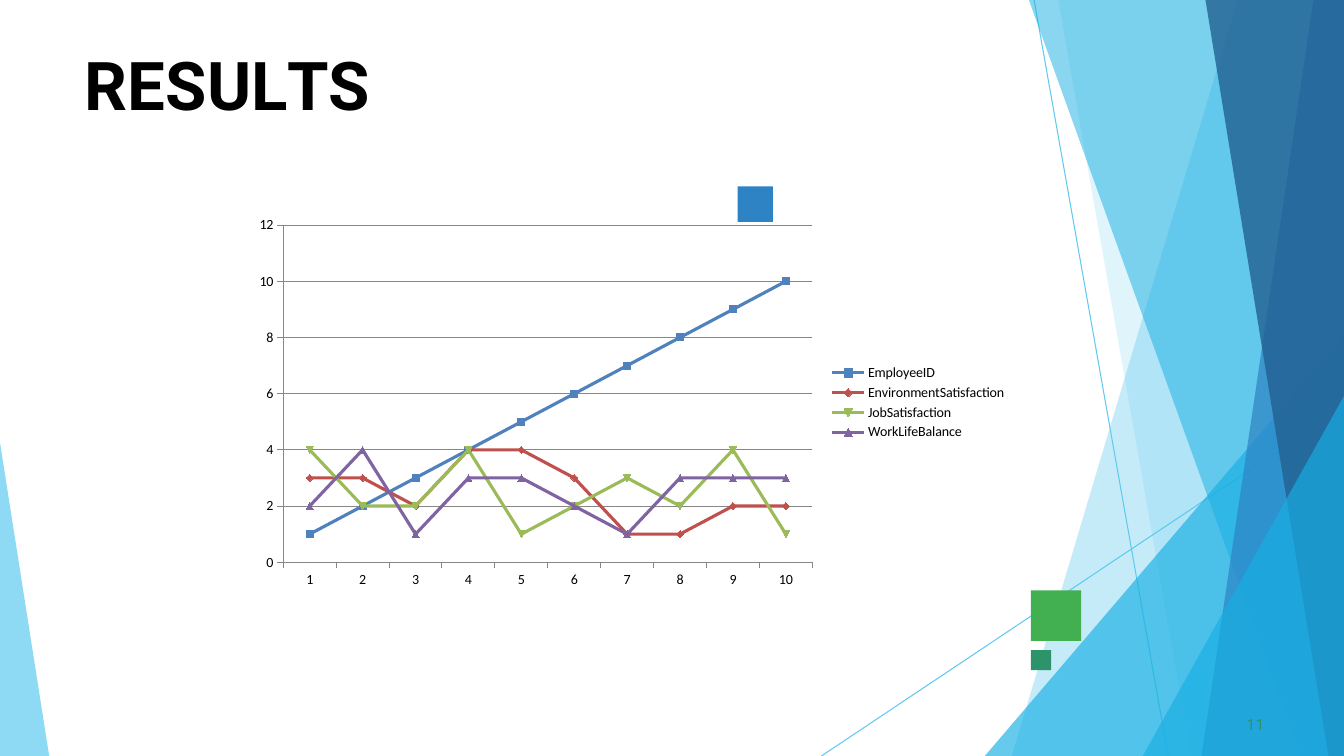
from lxml import etree
from pptx import Presentation
from pptx.chart.data import CategoryChartData
from pptx.dml.color import RGBColor
from pptx.enum import chart as ch, shapes, text
from pptx.oxml.ns import qn
from pptx.util import Cm, Pt

W, H = 33.87, 19.05
# Lengths in centimetres
RAYS = [((26.06, 0), (29.44, H)), ((W, 10.26), (20.7, H))]
FACETS = [  # corners, colour, opacity in percent
    ([(W, 0), (31.19, 0), (25.5, H), (W, H)], "5FCAEE", 36),
    ([(W, 0), (26.67, 0), (30.02, H), (W, H)], "5FCAEE", 20),
    ([(W, 8.46), (24.82, H), (W, H)], "17AFE3", 66),
    ([(W, 0), (25.93, 0), (32.79, H), (W, H)], "17AFE3", 50),
    ([(W, 0), (33.1, 0), (30.28, H), (W, H)], "2D83C3", 70),
    ([(W, 0), (30.38, 0), (33.48, H), (W, H)], "226192", 80),
    ([(W, 9.98), (28.8, H), (W, H)], "17AFE3", 66),
    ([(0, 11.15), (0, H), (1.24, H)], "5FCAEE", 70),
]
SQUARES = [  # left, top, side, colour
    (25.98, 14.88, 1.27, "42AF51"),
    (18.59, 4.7, 0.89, "2D83C3"),
    (25.98, 16.38, 0.51, "2D936B"),
]
TITLE = [("R", 0), ("E", -0.4), ("S", 0.1), ("U", -0.3), ("L", -4), ("TS", 0)]
TITLE_BOX = (2.11, 1.07, 29.67, 2.11)
NUMBER = [("11", 0.1)]
NUMBER_BOX = (31.32, 17.98, 0.64, 0.53)
CHART_BOX = (6.15, 5.28, 19.48, 9.73)
SERIES = [
    ("EmployeeID", range(1, 11), "4F81BD"),
    ("EnvironmentSatisfaction", (3, 3, 2, 4, 4, 3, 1, 1, 2, 2), "C0504D"),
    ("JobSatisfaction", (4, 2, 2, 4, 1, 2, 3, 2, 4, 1), "9BBB59"),
    ("WorkLifeBalance", (2, 4, 1, 3, 3, 2, 1, 3, 3, 3), "8064A2"),
]


def rgb(value):
    return RGBColor.from_string(value)


def cm(values):
    return [Cm(v) for v in values]


def paint(sp, color, opacity=100):
    sp.shadow.inherit = False
    sp.fill.solid()
    sp.fill.fore_color.rgb = rgb(color)
    sp.line.fill.background()
    if opacity < 100:
        clr = sp.fill._xPr.find(qn("a:solidFill"))[0]
        etree.SubElement(clr, qn("a:alpha")).set("val", str(opacity * 1000))


def write(sp, runs, size, color, bold, indent, before):
    """Fill a shape with one paragraph of (text, letter spacing) runs."""
    tf = sp.text_frame
    tf.word_wrap = True
    tf.auto_size = text.MSO_AUTO_SIZE.NONE
    tf.vertical_anchor = text.MSO_ANCHOR.TOP
    tf.margin_left = tf.margin_right = tf.margin_bottom = 0
    tf.margin_top = Cm(0.03)
    p = tf.paragraphs[0]
    p.alignment = text.PP_ALIGN.LEFT
    p.space_before = Pt(before)
    p._p.get_or_add_pPr().set("marL", str(Cm(indent)))
    p.font.name, p.font.size, p.font.bold = "Roboto", Pt(size), bold
    p.font.color.rgb = rgb(color)
    for words, spacing in runs:
        r = p.add_run()
        r.text = words
        r._r.get_or_add_rPr().set("spc", str(round(spacing * 100)))


def add_backdrop(slide):
    for start, end in RAYS:
        ray = slide.shapes.add_connector(
            shapes.MSO_CONNECTOR.STRAIGHT, *cm(start + end))
        ray.line.color.rgb = rgb("5FCAEE")
        ray.line.width = Pt(0.75)
        etree.SubElement(ray._element.spPr, qn("a:effectLst"))
    for corners, color, opacity in FACETS:
        points = [cm(c) for c in corners]
        builder = slide.shapes.build_freeform(*points[0])
        builder.add_line_segments(points[1:], close=True)
        paint(builder.convert_to_shape(), color, opacity)
    for left, top, side, color in SQUARES:
        paint(slide.shapes.add_shape(
            shapes.MSO_SHAPE.RECTANGLE, *cm((left, top, side, side))), color)


def add_line_chart(slide):
    data = CategoryChartData()
    data.categories = [str(n) for n in range(1, 11)]
    for name, values, _ in SERIES:
        data.add_series(name, values)
    chart = slide.shapes.add_chart(
        ch.XL_CHART_TYPE.LINE_MARKERS, *cm(CHART_BOX), data).chart
    chart.font.name, chart.font.size = "Calibri", Pt(10)
    chart.font.color.rgb = rgb("000000")
    chart.has_title = False
    chart.has_legend = True
    chart.legend.position = ch.XL_LEGEND_POSITION.RIGHT
    chart.legend.include_in_layout = False
    plot = chart.plots[0]
    plot.vary_by_categories = False
    for series, (_, _, color) in zip(plot.series, SERIES):
        series.smooth = False
        series.format.line.color.rgb = rgb(color)
        series.format.line.width = Pt(2.25)
    value_axis = chart.value_axis
    value_axis.minimum_scale, value_axis.maximum_scale = 0, 12
    value_axis.major_unit = 2
    value_axis.has_major_gridlines = True
    for part in (value_axis, chart.category_axis, value_axis.major_gridlines):
        part.format.line.color.rgb = rgb("878787")
        part.format.line.width = Pt(0.75)
    for axis in (value_axis, chart.category_axis):
        axis.major_tick_mark = ch.XL_TICK_MARK.OUTSIDE


def main():
    prs = Presentation()
    prs.slide_width, prs.slide_height = cm((W, H))
    slide = prs.slides.add_slide(prs.slide_layouts[5])
    add_backdrop(slide)
    title = slide.shapes.title
    title.left, title.top, title.width, title.height = cm(TITLE_BOX)
    write(title, TITLE, 48, "000000", True, 0.03, 1.1)
    number = slide.shapes.add_textbox(*cm(NUMBER_BOX))
    write(number, NUMBER, 11, "2D936B", False, 0.1, 0.6)
    add_line_chart(slide)
    prs.save("out.pptx")


if __name__ == "__main__":
    main()
